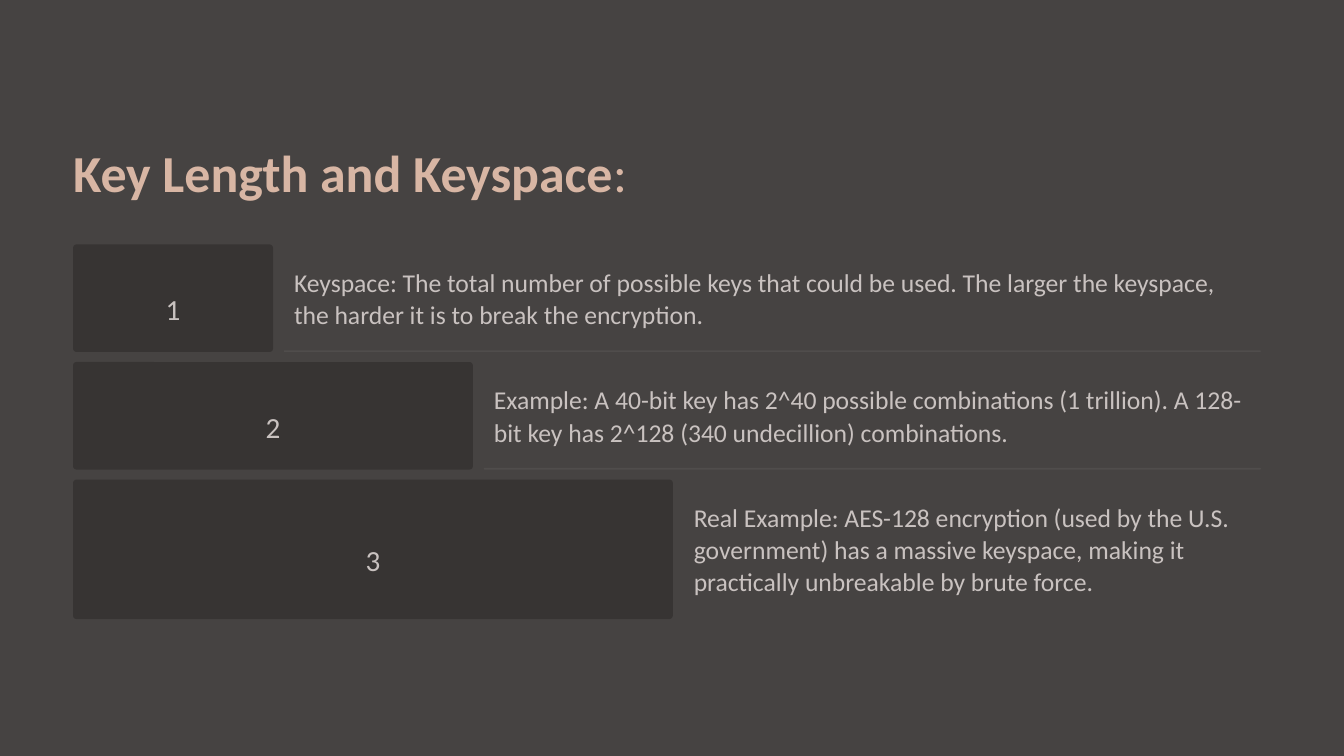
from pptx import Presentation
from pptx.dml.color import RGBColor
from pptx.enum.shapes import MSO_SHAPE
from pptx.enum.text import MSO_ANCHOR, MSO_AUTO_SIZE, PP_ALIGN
from pptx.util import Inches, Pt

BACKGROUND = RGBColor(0x46, 0x43, 0x42)
BAR = RGBColor(0x37, 0x34, 0x33)
DIVIDER = RGBColor(0x50, 0x4D, 0x4C)
HEADING = RGBColor(0xD8, 0xB6, 0xA4)
BODY = RGBColor(0xC9, 0xC2, 0xC0)

TITLE_RUNS = [("Key Length and Keyspace", True), (":", False)]
# Statement and the height of its text, in inches
STEPS = [
    ("Keyspace: The total number of possible keys that could be used. "
     "The larger the keyspace, the harder it is to break the encryption.", 0.78),
    ("Example: A 40-bit key has 2^40 possible combinations (1 trillion). "
     "A 128-bit key has 2^128 (340 undecillion) combinations.", 0.78),
    ("Real Example: AES-128 encryption (used by the U.S. government) has a massive "
     "keyspace, making it practically unbreakable by brute force.", 1.16),
]
LEFT = 0.87
BAR_STEP = 2.38
PADDING = 0.25
ROW_GAP = 0.12
CORNER = 0.04


def write(frame, runs, size, color, spacing, align=PP_ALIGN.LEFT, wrap=True):
    settings = {"margin_left": 0, "margin_top": 0, "margin_right": 0, "margin_bottom": 0,
                "word_wrap": wrap, "auto_size": MSO_AUTO_SIZE.NONE,
                "vertical_anchor": MSO_ANCHOR.TOP}
    for name, value in settings.items():
        setattr(frame, name, value)
    paragraph = frame.paragraphs[0]
    paragraph.alignment = align
    paragraph.line_spacing = Pt(spacing)
    for words, bold in runs:
        run = paragraph.add_run()
        run.text = words
        for name, value in {"name": "Calibri", "size": Pt(size), "bold": bold}.items():
            setattr(run.font, name, value)
        run.font.color.rgb = color


def add_text(slide, box, words, *style, **options):
    label = slide.shapes.add_textbox(*map(Inches, box))
    write(label.text_frame, [(words, False)], *style, **options)


def add_block(slide, box, color, corner):
    block = slide.shapes.add_shape(MSO_SHAPE.ROUNDED_RECTANGLE, *map(Inches, box))
    block.adjustments[0] = min(0.5, corner / min(box[2:]))
    block.shadow.inherit = False
    block.fill.solid()
    block.fill.fore_color.rgb = color
    block.line.fill.background()


def add_title(slide, left, top, width, height):
    title = slide.shapes.title
    title.left, title.top, title.width, title.height = map(Inches, (left, top, width, height))
    write(title.text_frame, TITLE_RUNS, 44.5, HEADING, 55.5, wrap=False)


def add_step(slide, number, statement, left, top, width, height, divided):
    # Numbered bar, one step wider in each row
    bar_width = BAR_STEP * number
    add_block(slide, (left, top, bar_width, height), BAR, CORNER)
    number_box = (left + (bar_width - 0.35) / 2, top + (height - 0.44) / 2, 0.35, 0.44)
    add_text(slide, number_box, str(number), 25, BODY, 40, align=PP_ALIGN.CENTER, wrap=False)

    # Statement beside the bar
    text_left = left + bar_width + PADDING
    text_width = left + width - ROW_GAP - text_left
    add_text(slide, (text_left, top + PADDING, text_width, height - 2 * PADDING),
             statement, 22, BODY, 27.5)

    # Divider under the statement
    if divided:
        rule_left = text_left - ROW_GAP
        add_block(slide, (rule_left, top + height - 0.02, left + width - rule_left, 0.02),
                  DIVIDER, CORNER)


def add_staircase(slide, left, top, width):
    for number, (statement, text_height) in enumerate(STEPS, 1):
        height = text_height + 2 * PADDING
        add_step(slide, number, statement, left, top, width, height, number < len(STEPS))
        top += height + ROW_GAP


def main():
    deck = Presentation()
    deck.slide_width, deck.slide_height = Inches(16), Inches(9)
    slide = deck.slides.add_slide(deck.slide_layouts[5])
    slide.background.fill.solid()
    slide.background.fill.fore_color.rgb = BACKGROUND
    add_title(slide, LEFT, 1.64, 8.31, 0.78)
    add_staircase(slide, LEFT, 2.91, 14.14)
    deck.save("out.pptx")


if __name__ == "__main__":
    main()
